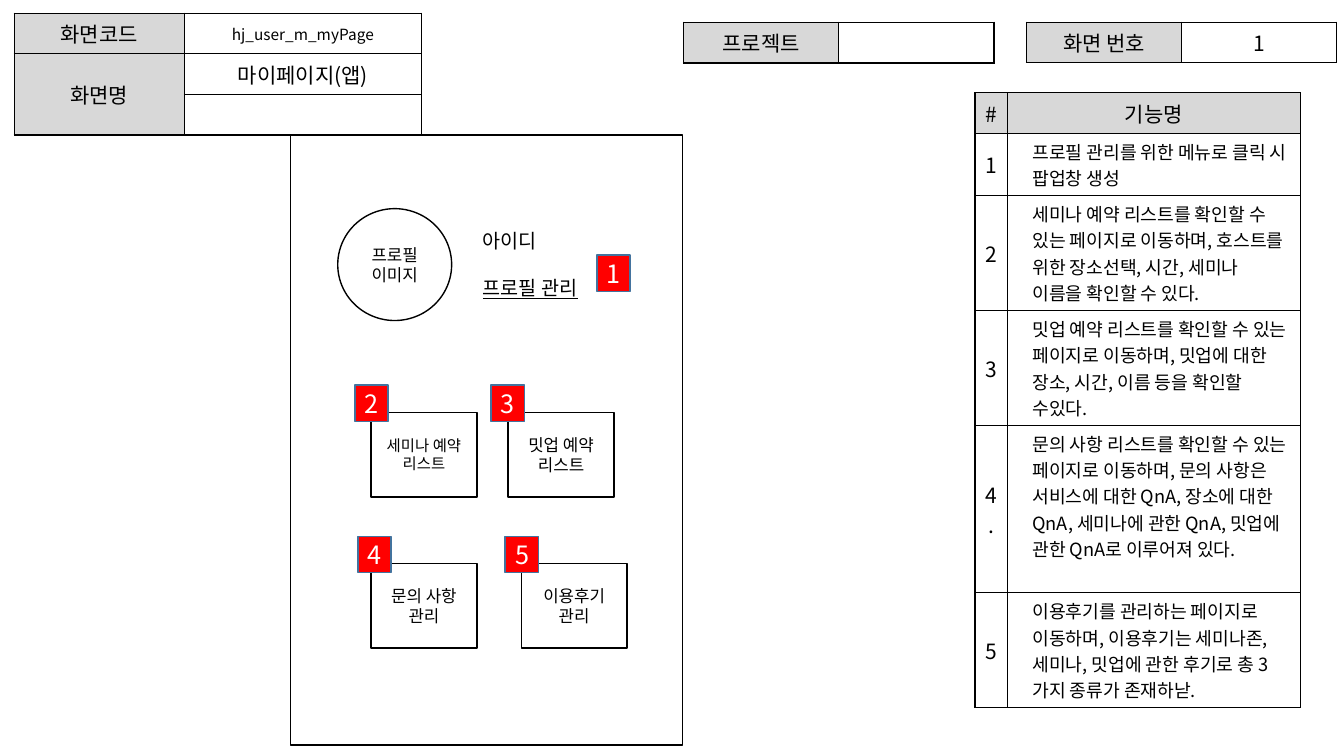
from pptx import Presentation
from pptx.dml.color import RGBColor
from pptx.enum.shapes import MSO_SHAPE as SHAPE
from pptx.enum.text import MSO_ANCHOR as ANCHOR, PP_ALIGN as ALIGN
from pptx.oxml.ns import qn
from pptx.util import Inches, Pt
from lxml.etree import SubElement

FONT = "Noto Sans CJK KR"
BLACK, WHITE, GRAY, RED, BLUE = "000000", "FFFFFF", "D8D8D8", "FF0000", "43739E"

# left, top, column widths, row heights, rows
SCREEN = (0.14, 0.13, [1.69, 2.35], [0.4] * 3,
          [("화면코드", "hj_user_m_myPage"), ("화면명", "마이페이지(앱)"), ("", "")])
NUMBER = (10.18, 0.22, [1.54] * 2, [0.4], [("화면 번호", "1")])
PROJECT = (6.78, 0.22, [1.54] * 2, [0.4], [("프로젝트", "")])
FEATURES = (9.67, 0.92, [0.32, 2.91], [0.4, 0.62, 1.14, 1.14, 1.66, 1.14], [
    ("#", "기능명"),
    ("1", "프로필 관리를 위한 메뉴로 클릭 시 팝업창 생성"),
    ("2", "세미나 예약 리스트를 확인할 수 있는 페이지로 이동하며, 호스트를 위한 장소선택, "
          "시간, 세미나 이름을 확인할 수 있다."),
    ("3", "밋업 예약 리스트를 확인할 수 있는 페이지로 이동하며, 밋업에 대한 장소, 시간, "
          "이름 등을 확인할 수있다."),
    ("4.", "문의 사항 리스트를 확인할 수 있는 페이지로 이동하며, 문의 사항은 서비스에 대한 QnA, "
           "장소에 대한 QnA, 세미나에 관한 QnA, 밋업에 관한 QnA로 이루어져 있다."),
    ("5", "이용후기를 관리하는 페이지로 이동하며, 이용후기는 세미나존, 세미나, 밋업에 관한 "
          "후기로 총 3가지 종류가 존재하낟."),
])

# left, top, lines, text size
MENUS = [
    (3.68, 4.09, ["세미나 예약 리스트"], 11),
    (5.04, 4.09, ["밋업 예약", "리스트"], 12),
    (3.68, 5.59, ["문의 사항", "관리"], 12),
    (5.17, 5.59, ["이용후기 관리"], 12),
]
BADGES = [(5.92, 2.53), (3.52, 3.82), (4.87, 3.82), (3.55, 5.32), (5.01, 5.32)]


def rgb(color):
    return RGBColor.from_string(color)


def write(tf, lines, size, color=BLACK, align=ALIGN.CENTER):
    for i, line in enumerate(lines):
        p = tf.add_paragraph() if i else tf.paragraphs[0]
        p.alignment = align
        p.add_run().text = line
        p.font.size = Pt(size)
        p.font.name = FONT
        p.font.color.rgb = rgb(color)
        SubElement(p._p.pPr.find(qn("a:defRPr")), qn("a:ea"), typeface=FONT)


def add_box(slide, kind, box, lines=(), size=12, fill=None, line=BLACK, color=BLACK):
    s = slide.shapes.add_shape(kind, *map(Inches, box))
    s.shadow.inherit = False
    if fill:
        s.fill.solid()
        s.fill.fore_color.rgb = rgb(fill)
    else:
        s.fill.background()
    s.line.color.rgb = rgb(line)
    s.line.width = Pt(1)
    s.text_frame.word_wrap = True
    s.text_frame.vertical_anchor = ANCHOR.MIDDLE
    write(s.text_frame, lines, size, color)


def style_cell(cell, fill):
    """Draw black borders and a plain fill."""
    tc_pr = cell._tc.get_or_add_tcPr()
    for side in ("lnL", "lnR", "lnT", "lnB"):
        ln = SubElement(tc_pr, qn(f"a:{side}"), w=str(Pt(1)))
        SubElement(SubElement(ln, qn("a:solidFill")), qn("a:srgbClr"), val=BLACK)
    cell.fill.solid()
    cell.fill.fore_color.rgb = rgb(fill)
    cell.vertical_anchor = ANCHOR.MIDDLE


def add_grid(slide, data, is_header, size_of):
    left, top, widths, heights, rows = data
    frame = slide.shapes.add_table(len(rows), len(widths), Inches(left), Inches(top),
                                   Inches(sum(widths)), Inches(sum(heights)))
    table = frame.table
    table.first_row = table.horz_banding = False
    for column, width in zip(table.columns, widths):
        column.width = Inches(width)
    for row, height in zip(table.rows, heights):
        row.height = Inches(height)
    for r, texts in enumerate(rows):
        for c, text in enumerate(texts):
            cell = table.cell(r, c)
            style_cell(cell, GRAY if is_header(r, c) else WHITE)
            if text:
                write(cell.text_frame, [text], size_of(r, c))
    return table


def main():
    prs = Presentation()
    prs.slide_width, prs.slide_height = Inches(13.33), Inches(7.5)
    slide = prs.slides.add_slide(prs.slide_layouts[6])

    screen = add_grid(slide, SCREEN, lambda r, c: c == 0,
                      lambda r, c: 11 if (r, c) == (0, 1) else 15)
    screen.cell(1, 0).merge(screen.cell(2, 0))
    for data in (NUMBER, PROJECT):
        add_grid(slide, data, lambda r, c: c == 0, lambda r, c: 15)
    features = add_grid(slide, FEATURES, lambda r, c: r == 0,
                        lambda r, c: 13 if r and c else 15)
    for r in range(1, len(FEATURES[4])):
        cell = features.cell(r, 1)
        cell.vertical_anchor = ANCHOR.TOP
        p = cell.text_frame.paragraphs[0]
        p.alignment = ALIGN.LEFT
        p._p.pPr.set("marL", str(Inches(0.15)))
        p._p.pPr.set("indent", "0")

    add_box(slide, SHAPE.RECTANGLE, (2.88, 1.34, 3.89, 6.05))
    add_box(slide, SHAPE.OVAL, (3.35, 2.07, 1.13, 1.11), ["프로필이미지"])

    profile = slide.shapes.add_textbox(*map(Inches, (4.69, 2.22, 1.55, 0.81))).text_frame
    profile.word_wrap = True
    write(profile, ["아이디", "프로필 관리"], 14, align=ALIGN.LEFT)
    manage = profile.paragraphs[1]
    manage.space_before = Pt(17)
    manage.font.underline = True

    for left, top, lines, size in MENUS:
        add_box(slide, SHAPE.RECTANGLE, (left, top, 1.05, 0.84), lines, size)
    for number, (left, top) in enumerate(BADGES, 1):
        add_box(slide, SHAPE.RECTANGLE, (left, top, 0.33, 0.36), [str(number)], 18,
                RED, BLUE, WHITE)

    prs.save("out.pptx")


if __name__ == "__main__":
    main()
